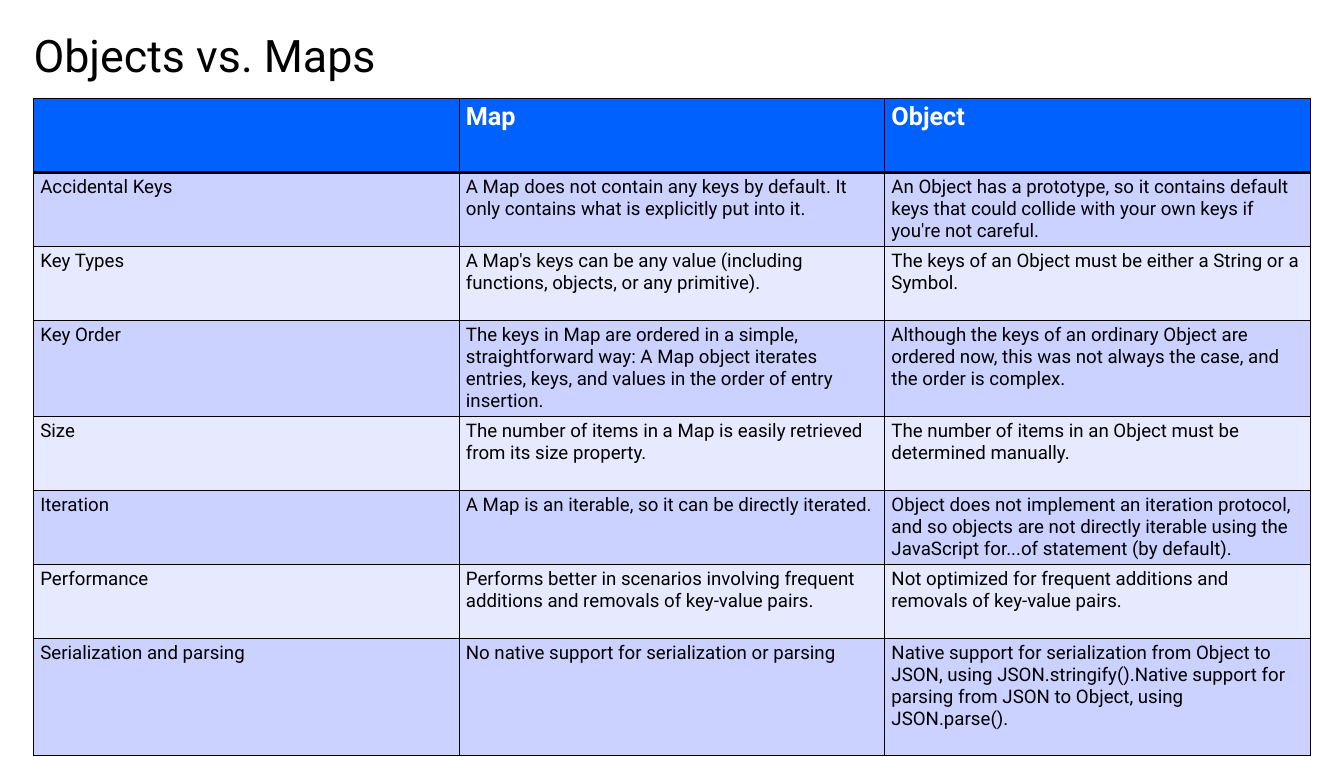
from lxml import etree
from pptx import Presentation
from pptx.dml.color import RGBColor
from pptx.enum.text import MSO_ANCHOR
from pptx.oxml.ns import qn
from pptx.util import Cm, Pt

TOP = MSO_ANCHOR.TOP
FONT = "Roboto"
COLORS = {
    "text": "000000",
    "header_text": "FFFFFF",
    "header": "0061FF",
    "odd_row": "CCD2FF",
    "even_row": "E7EAFF",
    "border": "000000",
}
LEFT, CONTENT_WIDTH = 1.27, 48.26
ROW_HEIGHT, ORDER_HEIGHT, LAST_HEIGHT = 2.79, 3.59, 4.4
ROWS = [
    ("", "Map", "Object"),
    (
        "Accidental Keys",
        "A Map does not contain any keys by default. It only contains what is explicitly put into it.",
        "An Object has a prototype, so it contains default keys that could collide with your own keys "
        "if you're not careful.",
    ),
    (
        "Key Types",
        "A Map's keys can be any value (including functions, objects, or any primitive).",
        "The keys of an Object must be either a String or a Symbol.",
    ),
    (
        "Key Order",
        "The keys in Map are ordered in a simple, straightforward way: A Map object iterates entries, "
        "keys, and values in the order of entry insertion.",
        "Although the keys of an ordinary Object are ordered now, this was not always the case, "
        "and the order is complex.",
    ),
    (
        "Size",
        "The number of items in a Map is easily retrieved from its size property.",
        "The number of items in an Object must be determined manually.",
    ),
    (
        "Iteration",
        "A Map is an iterable, so it can be directly iterated.",
        "Object does not implement an iteration protocol, and so objects are not directly iterable "
        "using the JavaScript for...of statement (by default).",
    ),
    (
        "Performance",
        "Performs better in scenarios involving frequent additions and removals of key-value pairs.",
        "Not optimized for frequent additions and removals of key-value pairs.",
    ),
    (
        "Serialization and parsing",
        "No native support for serialization or parsing",
        "Native support for serialization from Object to JSON, using JSON.stringify()."
        "Native support for parsing from JSON to Object, using JSON.parse().",
    ),
]


def write_text(frame, text, *, size, color="text", bold=False, line_spacing=None):
    paragraph = frame.paragraphs[0]
    paragraph.line_spacing = line_spacing
    paragraph.font.size = Pt(size)
    if text:
        run = paragraph.add_run()
        run.text = text
        run.font.name = FONT
        run.font.size = Pt(size)
        run.font.bold = bold
        run.font.color.rgb = RGBColor.from_string(COLORS[color])


def set_borders(cell, top=1, bottom=1):
    properties = cell._tc.get_or_add_tcPr()
    for side, width in (("L", 1), ("R", 1), ("T", top), ("B", bottom)):
        line = etree.SubElement(properties, qn(f"a:ln{side}"), w=str(Pt(width)))
        fill = etree.SubElement(line, qn("a:solidFill"))
        etree.SubElement(fill, qn("a:srgbClr"), val=COLORS["border"])


class SlideBuilder:
    """Add styled elements to the current slide."""

    def __init__(self, slide):
        self.slide = slide

    def add_title(self, text, left, top, width, height):
        shape = self.slide.shapes.add_textbox(Cm(left), Cm(top), Cm(width), Cm(height))
        frame = shape.text_frame
        frame.word_wrap = True
        frame.vertical_anchor = TOP
        frame.margin_left = frame.margin_right = frame.margin_top = frame.margin_bottom = 0
        write_text(frame, text, size=48, line_spacing=0.9)

    def add_comparison(self, rows, heights, left, top, width):
        columns = len(rows[0])
        shape = self.slide.shapes.add_table(
            len(rows), columns, Cm(left), Cm(top), Cm(width), Cm(sum(heights))
        )
        table = shape.table
        for column in table.columns:
            column.width = Cm(width / columns)
        for index, (texts, height) in enumerate(zip(rows, heights)):
            table.rows[index].height = Cm(height)
            for column, text in enumerate(texts):
                self.fill_cell(table.cell(index, column), text, index)

    def fill_cell(self, cell, text, row):
        if row == 0:
            set_borders(cell, bottom=3)
            background = "header"
            write_text(cell.text_frame, text, size=27, color="header_text", bold=True)
        else:
            set_borders(cell, top=3 if row == 1 else 1)
            background = "odd_row" if row % 2 else "even_row"
            write_text(cell.text_frame, text, size=20)
        cell.fill.solid()
        cell.fill.fore_color.rgb = RGBColor.from_string(COLORS[background])


def main():
    presentation = Presentation()
    presentation.slide_width = Cm(50.8)
    presentation.slide_height = Cm(28.6)
    builder = SlideBuilder(presentation.slides.add_slide(presentation.slide_layouts[6]))
    builder.add_title("Objects vs. Maps", LEFT, 1.27, 22.86, 4.45)
    heights = [ROW_HEIGHT] * len(ROWS)
    heights[3] = ORDER_HEIGHT
    heights[-1] = LAST_HEIGHT
    builder.add_comparison(ROWS, heights, LEFT, 3.73, CONTENT_WIDTH)
    presentation.save("out.pptx")


if __name__ == "__main__":
    main()
